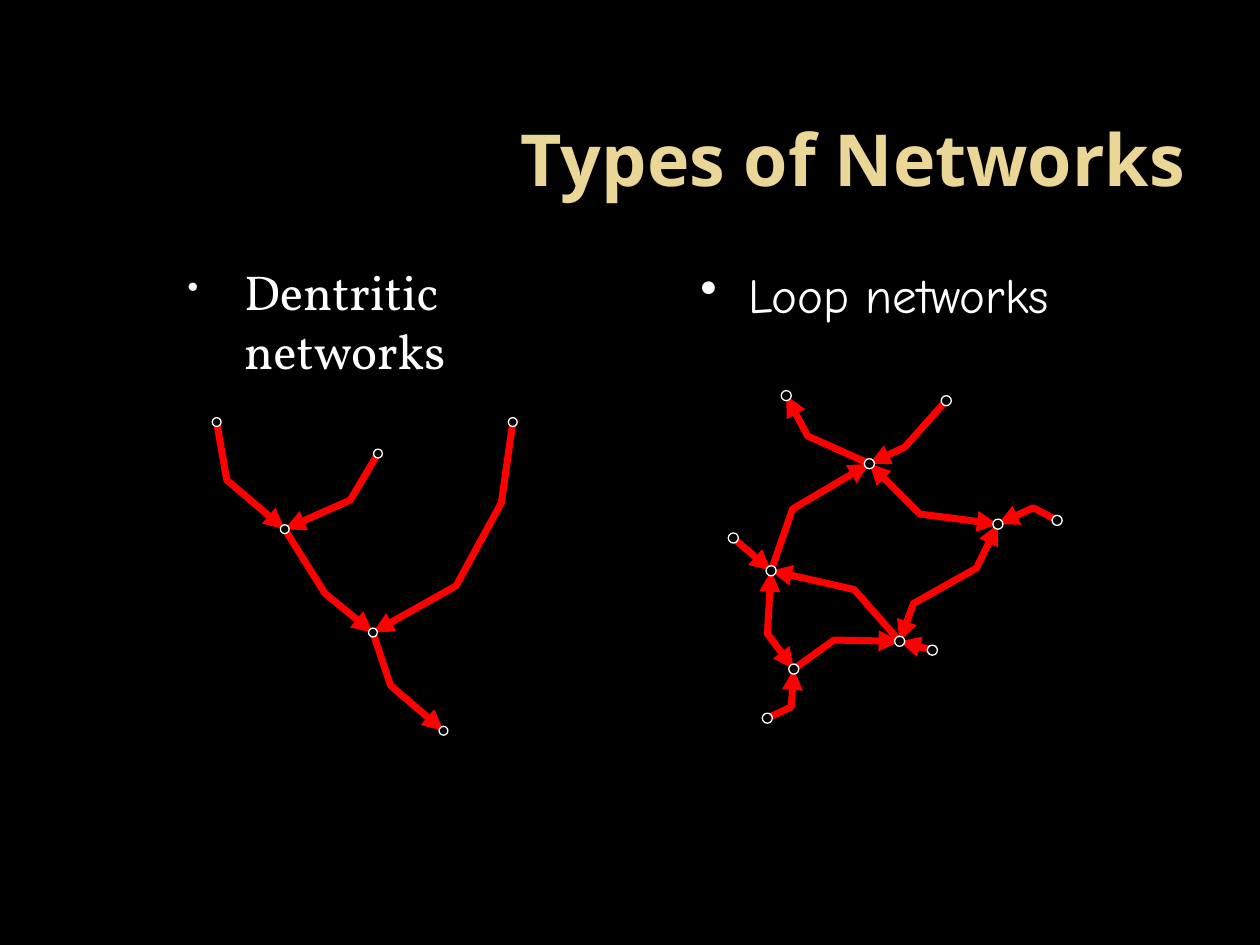
from lxml.etree import SubElement as Sub
from pptx import Presentation
from pptx.dml.color import RGBColor as RGB
from pptx.enum.shapes import MSO_CONNECTOR as Conn, MSO_SHAPE as Form
from pptx.enum.text import MSO_ANCHOR as Anchor, PP_ALIGN as Align
from pptx.oxml.ns import qn
from pptx.util import Inches, Pt

COLS, ROWS = 1000, 750  # grid cells across and down the slide
CELL = Inches(10) // COLS
COLOR = {"back": "000000", "title": "EAD696", "text": "FFFFFF",
         "dot": "F9F9F9", "link": "FF0000", "ring": "FFFFFF"}

# Nodes are (column, row) of the centre.
# Links run with the flow: (from, bends, to, two-way).
TREE_NODES = {"west": (172, 335), "join": (226, 420), "mid": (300, 360),
              "east": (407, 335), "fork": (296, 502), "end": (352, 580)}
TREE_LINKS = [
    ("mid", [(278, 397)], "join", False),
    ("join", [(258, 471)], "fork", False),
    ("east", [(398, 399), (362, 465)], "fork", False),
    ("west", [(180, 381)], "join", False),
    ("fork", [(310, 544)], "end", False),
]
LOOP_NODES = {"hub": (690, 368), "top": (624, 314), "north": (751, 318),
              "far": (839, 413), "east": (792, 416), "south": (714, 509),
              "spur": (740, 516), "base": (630, 531), "foot": (609, 570),
              "west": (582, 427), "mid": (612, 453)}
LOOP_LINKS = [
    ("hub", [(641, 346)], "top", False),
    ("north", [(718, 355)], "hub", False),
    ("hub", [(730, 408)], "east", True),
    ("mid", [(629, 404)], "hub", False),
    ("east", [(775, 451), (725, 479)], "south", True),
    ("south", [(678, 468)], "mid", False),
    ("west", [], "mid", False),
    ("mid", [(609, 503)], "base", True),
    ("base", [(662, 508)], "south", False),
    ("foot", [(628, 561)], "base", False),
    ("spur", [], "south", False),
    ("far", [(820, 403)], "east", False),
]


def tint(name):
    return RGB.from_string(COLOR[name])


def cells(*nums):
    return [round(n * CELL) for n in nums]


def add_text(slide, box, text, font, size, color):
    shape = slide.shapes.add_textbox(*cells(*box))
    frame = shape.text_frame
    frame.word_wrap = True
    frame.text = text
    para = frame.paragraphs[0]
    face = para.runs[0].font
    face.name, face.size = font, Pt(size)
    face.color.rgb = tint(color)
    return frame, para


def add_title(slide, text):
    frame, para = add_text(slide, (101, 80, 850, 90), text,
                           "Noto Sans", 41, "title")
    frame.vertical_anchor = Anchor.MIDDLE
    para.alignment = Align.RIGHT
    para.runs[0].font.bold = True


def add_bullet(slide, box, text, font, hang, indent, dot, share):
    """Add a one-item list; share is the bullet's percentage of text size."""
    para = add_text(slide, box, text, font, 28, "text")[1]
    para.space_before = Pt(28 * 0.2)
    props = para._p.get_or_add_pPr()
    props.set("marL", str(Inches(indent)))
    props.set("indent", str(-Inches(hang)))
    Sub(Sub(props, qn("a:buClr")), qn("a:srgbClr"), val=COLOR[dot])
    Sub(props, qn("a:buSzPct"), val=str(share * 1000))
    Sub(props, qn("a:buChar"), char="•")


def set_line(shape, color, width, ends=()):
    """Style the outline, put arrows at the given ends, drop the shadow."""
    shape.line.color.rgb = tint(color)
    shape.line.width = Pt(width)
    props = shape.element.spPr
    for end in ends:
        Sub(props.find(qn("a:ln")), qn("a:" + end), type="triangle")
    Sub(props, qn("a:effectLst"))


def add_link(group, points, both):
    if len(points) == 2:
        start, end = points
        shape = group.shapes.add_connector(Conn.STRAIGHT,
                                           *cells(*start, *end))
    else:
        pen = group.shapes.build_freeform(*points[0], scale=CELL)
        pen.add_line_segments(points[1:], close=False)
        shape = pen.convert_to_shape()
        shape.fill.background()
    set_line(shape, "link", 4,
             ("headEnd", "tailEnd") if both else ("tailEnd",))


def add_node(group, center, size):
    left, top = (n - size / 2 for n in center)
    shape = group.shapes.add_shape(Form.OVAL, *cells(left, top, size, size))
    shape.fill.solid()
    shape.fill.fore_color.rgb = tint("back")
    set_line(shape, "ring", 0.75)


def add_network(slide, nodes, links, size):
    group = slide.shapes.add_group_shape()
    for start, bends, end, both in links:
        add_link(group, [nodes[start], *bends, nodes[end]], both)
    for center in nodes.values():
        add_node(group, center, size)


def main():
    deck = Presentation()
    deck.slide_width, deck.slide_height = cells(COLS, ROWS)
    slide = deck.slides.add_slide(deck.slide_layouts[6])
    fill = slide.background.fill
    fill.solid()
    fill.fore_color.rgb = tint("back")
    add_title(slide, "Types of Networks")
    add_bullet(slide, (124, 203, 336, 58), "Dentritic networks",
               "Vollkorn", 0.45, 0.6, "dot", 65)
    add_network(slide, TREE_NODES, TREE_LINKS, 7)
    add_bullet(slide, (546, 205, 301, 58), "Loop networks",
               "Comic Neue", 0.38, 0.38, "text", 100)
    add_network(slide, LOOP_NODES, LOOP_LINKS, 8)
    deck.save("out.pptx")


if __name__ == "__main__":
    main()
